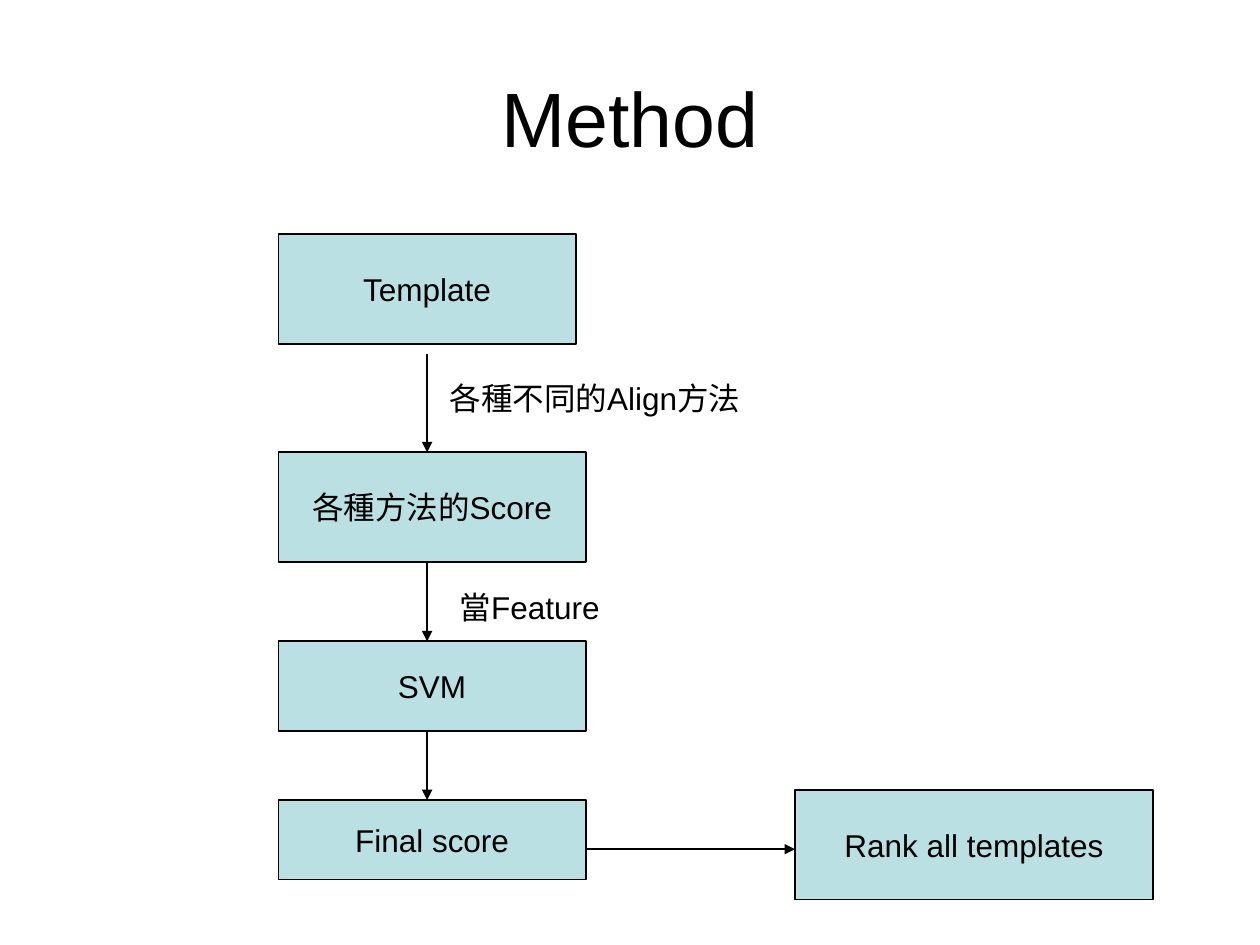
"""Build the Method slide: a flow from template to ranked templates."""
from dataclasses import dataclass

from lxml import etree
from pptx import Presentation
from pptx.dml.color import RGBColor
from pptx.enum import shapes, text
from pptx.oxml import ns
from pptx.util import Pt


@dataclass(frozen=True)
class Theme:
    """Colours, font and sizes used on the slide."""
    ink: RGBColor = RGBColor(0, 0, 0)
    fill: RGBColor = RGBColor(0xBB, 0xE0, 0xE3)
    font: str = "Arial"
    title: int = 44
    body: int = 18
    line: int = 1


THEME = Theme()
LEFT, AXIS, WIDE, TALL = 159.12, 244.08, 175.68, 62.64


def write(frame, pieces, size, align, anchor, wrap):
    """Write the pieces as runs of one formatted paragraph."""
    frame.word_wrap = wrap
    frame.vertical_anchor = anchor
    para = frame.paragraphs[0]
    para.alignment = align
    for piece in pieces:
        span = para.add_run()
        span.text = piece
        span.font.name = THEME.font
        span.font.size = Pt(size)
        span.font.color.rgb = THEME.ink


def add_title(page, wording):
    """Place and fill the title placeholder."""
    title = page.shapes.title
    title.left, title.top, title.width, title.height = Pt(36), Pt(21.6), Pt(648), Pt(90)
    write(title.text_frame, [wording], THEME.title,
          text.PP_ALIGN.CENTER, text.MSO_ANCHOR.MIDDLE, True)


def add_step(page, kind, left, top, width, height, pieces):
    """Add a filled box with centred text."""
    box = page.shapes.add_shape(kind, Pt(left), Pt(top), Pt(width), Pt(height))
    box.shadow.inherit = False
    box.fill.solid()
    box.fill.fore_color.rgb = THEME.fill
    box.line.color.rgb = THEME.ink
    box.line.width = Pt(THEME.line)
    write(box.text_frame, pieces, THEME.body,
          text.PP_ALIGN.CENTER, text.MSO_ANCHOR.MIDDLE, False)


def add_label(page, left, top, width, pieces):
    """Add a text label beside an arrow."""
    box = page.shapes.add_textbox(Pt(left), Pt(top), Pt(width), Pt(28.8))
    write(box.text_frame, pieces, THEME.body,
          text.PP_ALIGN.LEFT, text.MSO_ANCHOR.TOP, True)
    box.text_frame.auto_size = text.MSO_AUTO_SIZE.SHAPE_TO_FIT_TEXT


def add_arrow(page, *ends):
    """Add a straight arrow from (x1, y1) to (x2, y2)."""
    arrow = page.shapes.add_connector(shapes.MSO_CONNECTOR.STRAIGHT, *map(Pt, ends))
    arrow.line.color.rgb = THEME.ink
    arrow.line.width = Pt(THEME.line)
    etree.SubElement(arrow.line._get_or_add_ln(), ns.qn("a:tailEnd"), type="triangle")
    etree.SubElement(arrow._element.spPr, ns.qn("a:effectLst"))


def main():
    """Build and save the deck."""
    deck = Presentation()
    deck.slide_width, deck.slide_height = Pt(720), Pt(540)
    page = deck.slides.add_slide(deck.slide_layouts[5])
    add_title(page, "Method")

    process, plain = shapes.MSO_SHAPE.FLOWCHART_PROCESS, shapes.MSO_SHAPE.RECTANGLE
    for step in (
        (process, LEFT, 133.92, 169.92, TALL, ["Template"]),
        (plain, LEFT, 258.48, WIDE, TALL, ["各種方法的", "Score"]),
        (plain, LEFT, 366.48, WIDE, 51.12, ["SVM"]),
        (plain, LEFT, 457.2, WIDE, 45.36, ["Final score"]),
        (plain, 454.32, 451.44, 204.48, TALL, ["Rank all templates"]),
    ):
        add_step(page, *step)

    for start, end in ((202.32, 258.48), (321.12, 366.48), (417.6, 457.2)):
        add_arrow(page, AXIS, start, AXIS, end)
    add_arrow(page, LEFT + WIDE, 485.28, 454.32, 485.28)

    add_label(page, 249.84, 213.12, 192.96, ["各種不同的", "Align", "方法"])
    add_label(page, 255.6, 332.64, 113.04, ["當", "Feature"])
    deck.save("out.pptx")


if __name__ == "__main__":
    main()
